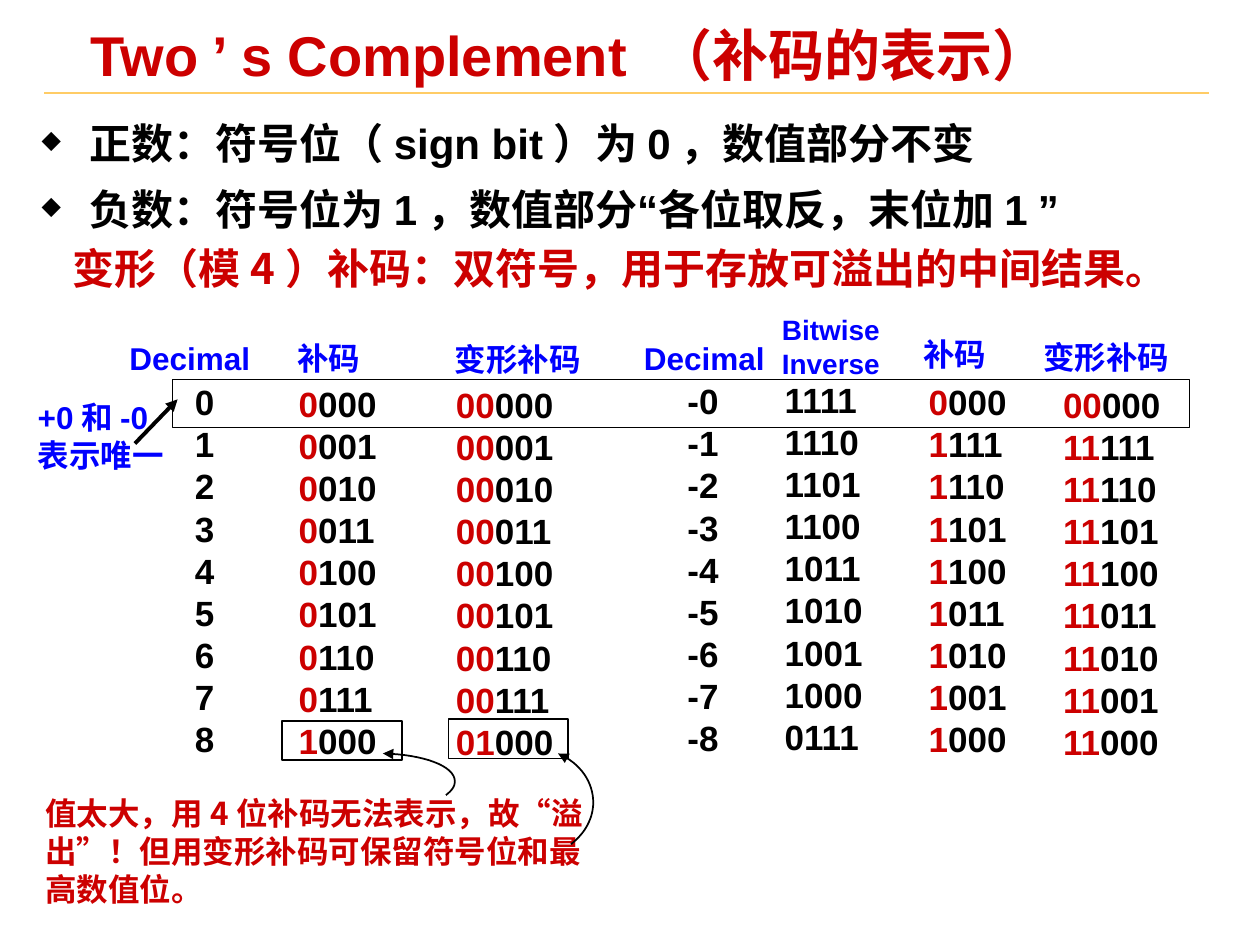
from lxml.etree import SubElement
from pptx import Presentation
from pptx.dml.color import RGBColor
from pptx.enum.shapes import MSO_CONNECTOR as Connector, MSO_SHAPE as Shape
from pptx.enum.text import MSO_ANCHOR as Anchor, PP_ALIGN as Align
from pptx.oxml.ns import qn
from pptx.util import Cm, Pt

COLORS = {"red": "CC0000", "blue": "0000FF", "black": "000000", "rule": "FFCC66"}
LATIN, CJK = "Arial", "Noto Sans CJK SC"
LINE_HEIGHT = 1.205  # line pitch as a multiple of the text size

TITLE = "Two’s Complement （补码的表示）"
RULES = [
    "正数：符号位（sign bit）为0，数值部分不变",
    "负数：符号位为1，数值部分“各位取反，末位加1”",
]
# text, box (left, top, width, height in cm), size, color, font
NOTES = [
    ("变形（模4）补码：双符号，用于存放可溢出的中间结果。",
     (1.22, 4.75, 23.22, 1.27), 24, "red", CJK),
    ("+0和-0表示唯一", (0.51, 7.9, 3.07, 1.78), 18, "blue", LATIN),
    ("值太大，用4位补码无法表示，故“溢出”！但用变形补码可保留符号位和最高数值位。",
     (0.66, 15.88, 11.4, 2.54), 18, "red", CJK),
]


def twos_complement(value, bits):
    return format(value % 2**bits, f"0{bits}b")


MAGNITUDES = range(9)
# heading lines, heading box, column box (left, top, width), sign digits, entries
COLUMNS = [
    (["Decimal"], (2.36, 6.71, 3.38), (3.68, 7.54, 1.07), 0,
     [str(n) for n in MAGNITUDES]),
    (["补码"], (5.74, 6.71, 1.9), (5.77, 7.57, 2.2), 1,
     [twos_complement(n, 4) for n in MAGNITUDES]),
    (["变形补码"], (8.92, 6.73, 3.1), (8.94, 7.59, 2.67), 2,
     [twos_complement(n, 5) for n in MAGNITUDES]),
    (["Decimal"], (12.73, 6.71, 3.38), (13.61, 7.52, 1.83), 0,
     [f"-{n}" for n in MAGNITUDES]),
    (["Bitwise", "Inverse"], (15.34, 6.17, 2.82), (15.57, 7.49, 2.2), 0,
     [twos_complement(~n, 4) for n in MAGNITUDES]),
    (["补码"], (18.36, 6.63, 1.9), (18.47, 7.54, 2.2), 1,
     [twos_complement(-n, 4) for n in MAGNITUDES]),
    (["变形补码"], (20.78, 6.68, 3.1), (21.18, 7.59, 2.92), 2,
     [twos_complement(-n, 5) for n in MAGNITUDES]),
]
FRAMES = [
    (3.48, 7.65, 20.5, 0.97),    # the two zeros
    (5.69, 14.53, 2.41, 0.79),   # overflowing 1000
    (9.04, 14.5, 2.41, 0.79),    # 01000 keeps its sign
]
# cubic segments of each arrow; the head sits on the first point
OVERFLOW_ARROWS = [
    [((7.72, 15.19), (8.53, 15.21), (9.17, 15.44), (9.17, 15.75)),
     ((9.17, 15.75), (9.17, 15.85), (9.12, 15.93), (8.99, 16.03))],
    [((11.25, 15.19), (11.71, 15.39), (11.96, 15.77), (11.96, 16.18)),
     ((11.96, 16.18), (11.96, 16.48), (11.81, 16.79), (11.51, 17.02))],
]

prs = Presentation()
prs.slide_width, prs.slide_height = Cm(25.4), Cm(19.05)
slide = prs.slides.add_slide(prs.slide_layouts[6])


def rgb(color):
    return RGBColor.from_string(COLORS[color])


def add_text(box, lines, size, font=LATIN, spacing=LINE_HEIGHT,
             margins=(0.25, 0.13), align=Align.LEFT):
    """Add a text box; each line is a list of (text, color) runs."""
    frame = slide.shapes.add_textbox(*map(Cm, box)).text_frame
    frame.word_wrap = True
    frame.margin_left = frame.margin_right = Cm(margins[0])
    frame.margin_top = frame.margin_bottom = Cm(margins[1])
    for index, runs in enumerate(lines):
        paragraph = frame.add_paragraph() if index else frame.paragraphs[0]
        paragraph.alignment = align
        paragraph.line_spacing = Pt(round(size * spacing, 1))
        for text, color in runs:
            run = paragraph.add_run()
            run.text = text
            run.font.size, run.font.bold, run.font.name = Pt(size), True, font
            run.font.color.rgb = rgb(color)
            SubElement(run.font._element, qn("a:ea"), typeface=font)
    return frame


def add_bullet(paragraph):
    properties = paragraph._p.get_or_add_pPr()
    properties.set("marL", str(Cm(0.97)))
    properties.set("indent", str(-Cm(0.97)))
    color = SubElement(properties, qn("a:buClr"))
    SubElement(color, qn("a:srgbClr"), val=COLORS["black"])
    SubElement(properties, qn("a:buSzPct"), val="60000")
    SubElement(properties, qn("a:buChar"), char="◆")


def add_line(start, end, color, width):
    line = slide.shapes.add_connector(Connector.STRAIGHT, *map(Cm, start + end))
    line.line.color.rgb, line.line.width = rgb(color), Pt(width)
    SubElement(line._element.spPr, qn("a:effectLst"))
    return line


def add_arrowhead(line, end):
    SubElement(line.line._get_or_add_ln(), qn(f"a:{end}"), type="triangle")


def outline(shape):
    shape.shadow.inherit = False
    shape.fill.background()
    shape.line.color.rgb, shape.line.width = rgb("black"), Pt(1)


def curve_points(segments, steps=16):
    points = [segments[0][0]]
    for a, b, c, d in segments:
        for step in range(1, steps + 1):
            t = step / steps
            u = 1 - t
            points.append(tuple(
                u**3 * p + 3 * u * u * t * q + 3 * u * t * t * r + t**3 * s
                for p, q, r, s in zip(a, b, c, d)))
    return [(Cm(x), Cm(y)) for x, y in points]


add_line((0.89, 1.88), (24.38, 1.88), "rule", 1)
title = add_text((1.65, 0.51, 22.45, 1.32), [[(TITLE, "red")]], 32,
                 spacing=1.05, margins=(0.18, 0.08))
title.vertical_anchor = Anchor.MIDDLE

rules = add_text((0.66, 2.08, 23.88, 2.72), [[(rule, "black")] for rule in RULES], 24,
                 spacing=1.2 * LINE_HEIGHT, margins=(0.18, 0.08))
for index, paragraph in enumerate(rules.paragraphs):
    paragraph.space_before = Pt(3 if index else 0)
    add_bullet(paragraph)

for text, box, size, color, font in NOTES:
    add_text(box, [[(text, color)]], size, font)

for heading, heading_box, column_box, sign, entries in COLUMNS:
    stacked = len(heading) > 1
    add_text(heading_box + (1.6 if stacked else 1.02,),
             [[(line, "blue")] for line in heading], 16 if stacked else 18,
             align=Align.CENTER if stacked else Align.LEFT)
    add_text(column_box + (7.87,),
             [[(digits, color) for digits, color in
               ((entry[:sign], "red"), (entry[sign:], "black")) if digits]
              for entry in entries], 20)

for frame_box in FRAMES:
    outline(slide.shapes.add_shape(Shape.RECTANGLE, *map(Cm, frame_box)))

add_arrowhead(add_line((2.72, 8.94), (3.58, 8.05), "black", 2.25), "tailEnd")
for segments in OVERFLOW_ARROWS:
    start, *rest = curve_points(segments)
    builder = slide.shapes.build_freeform(*start)
    builder.add_line_segments(rest, close=False)
    arrow = builder.convert_to_shape()
    outline(arrow)
    add_arrowhead(arrow, "headEnd")

prs.save("out.pptx")
